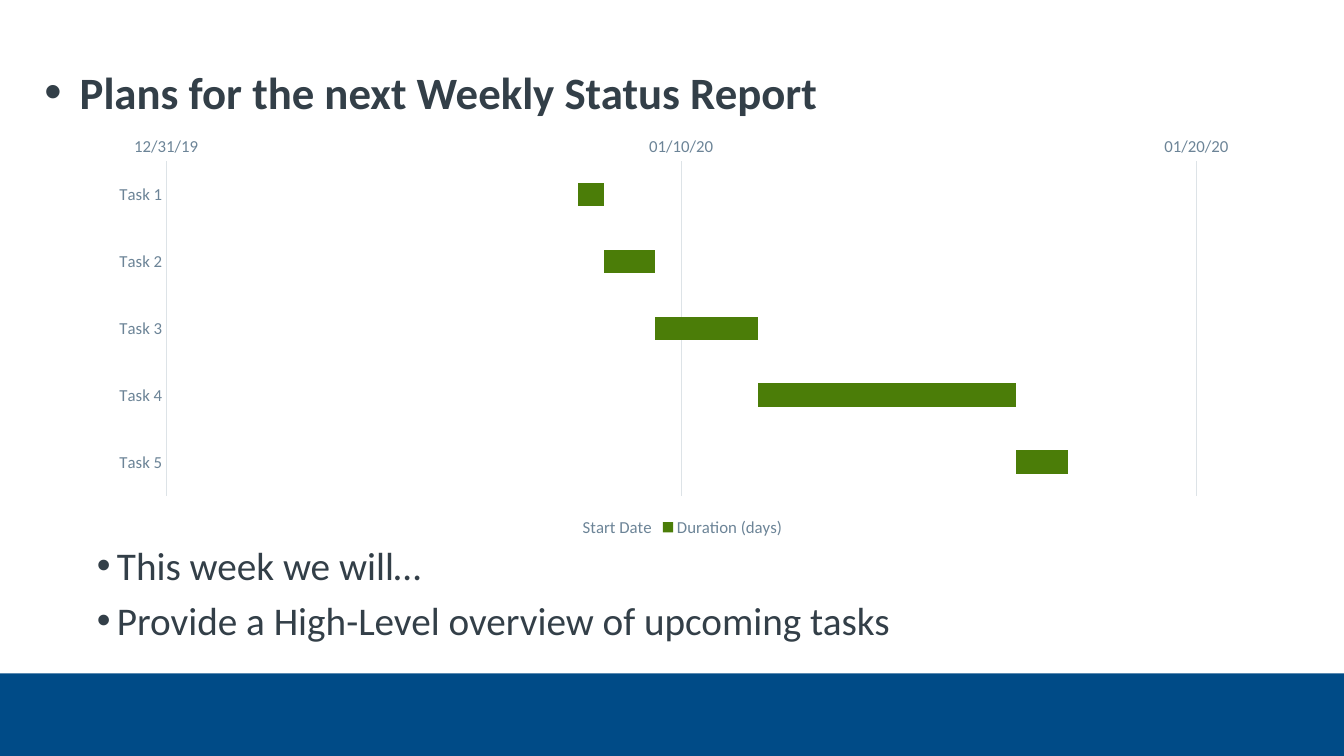
from dataclasses import dataclass

from lxml import etree
from pptx import Presentation
from pptx.chart.data import CategoryChartData
from pptx.dml.color import RGBColor
from pptx.enum.chart import XL_CHART_TYPE as ChartType
from pptx.enum.chart import XL_LEGEND_POSITION as LegendPosition
from pptx.enum.chart import XL_TICK_MARK as TickMark
from pptx.enum.shapes import MSO_SHAPE as Shape
from pptx.enum.text import MSO_ANCHOR as Anchor
from pptx.enum.text import MSO_AUTO_SIZE as AutoSize
from pptx.enum.text import PP_ALIGN as Align
from pptx.oxml.ns import qn
from pptx.util import Inches, Pt


@dataclass(frozen=True)
class Theme:
    font: str = "Calibri"
    ink: str = "333F48"
    muted: str = "6C8497"
    grid: str = "DDE3E7"
    task: str = "4B7D08"
    band: str = "004B87"
    title_size: int = 32
    body_size: int = 28
    chart_size: int = 12
    line_width: float = 0.75


class StatusSlide:
    """Draws the parts of a status report slide in one theme."""

    def __init__(self, deck, theme):
        self.theme = theme
        self.slide = deck.slides.add_slide(deck.slide_layouts[1])

    def style_font(self, font, size, color, bold=False):
        font.name = self.theme.font
        font.size = Pt(size)
        font.bold = bold
        font.color.rgb = RGBColor.from_string(color)

    def style_line(self, line):
        line.width = Pt(self.theme.line_width)
        line.color.rgb = RGBColor.from_string(self.theme.grid)

    def bullets(self, placeholder, box, lines, size, indent, bold=False, bullet_scale=100):
        placeholder.left, placeholder.top, placeholder.width, placeholder.height = map(Inches, box)
        frame = placeholder.text_frame
        frame.margin_left = frame.margin_top = frame.margin_right = frame.margin_bottom = 0
        frame.word_wrap = True
        frame.auto_size = AutoSize.NONE
        frame.vertical_anchor = Anchor.TOP
        for index, line in enumerate(lines):
            paragraph = frame.paragraphs[0] if index == 0 else frame.add_paragraph()
            paragraph.alignment = Align.LEFT
            paragraph.space_before = Pt(0.2 * size if index else 0)
            run = paragraph.add_run()
            run.text = line
            self.style_font(run.font, size, self.theme.ink, bold)
            properties = paragraph._p.get_or_add_pPr()
            properties.set("marL", str(Inches(indent)))
            properties.set("indent", str(-Inches(indent)))
            etree.SubElement(properties, qn("a:buSzPct"), val=str(bullet_scale * 1000))
            etree.SubElement(properties, qn("a:buFont"), typeface="Arial")
            etree.SubElement(properties, qn("a:buChar"), char="•")

    def band(self, box):
        band = self.slide.shapes.add_shape(Shape.RECTANGLE, *map(Inches, box))
        band.shadow.inherit = False
        band.fill.solid()
        band.fill.fore_color.rgb = RGBColor.from_string(self.theme.band)
        band.line.fill.background()

    def gantt(self, box, tasks, first_day, last_day, step, plot_area):
        data = CategoryChartData()
        data.categories = [name for name, start, days in tasks]
        data.add_series("Start Date", [start for name, start, days in tasks])
        data.add_series("Duration (days)", [days for name, start, days in tasks])
        frame = self.slide.shapes.add_chart(ChartType.BAR_STACKED, *map(Inches, box), data)
        chart = frame.chart
        chart.has_title = False
        self.style_font(chart.font, self.theme.chart_size, self.theme.muted)

        plot = chart.plots[0]
        plot.gap_width = 182
        plot.overlap = 100
        plot.vary_by_categories = False
        start_series, duration_series = plot.series
        start_series.format.fill.background()
        duration_series.format.fill.solid()
        duration_series.format.fill.fore_color.rgb = RGBColor.from_string(self.theme.task)

        task_axis, date_axis = chart.category_axis, chart.value_axis
        for axis in (task_axis, date_axis):
            axis.major_tick_mark = axis.minor_tick_mark = TickMark.NONE
            self.style_font(axis.tick_labels.font, self.theme.chart_size, self.theme.muted)
        task_axis.reverse_order = True
        self.style_line(task_axis.format.line)
        date_axis.minimum_scale = first_day
        date_axis.maximum_scale = last_day
        date_axis.major_unit = step
        date_axis.tick_labels.number_format = "mm/dd/yy;@"
        date_axis.tick_labels.number_format_is_linked = False
        date_axis.format.line.fill.background()
        self.style_line(date_axis.major_gridlines.format.line)

        chart.has_legend = True
        chart.legend.position = LegendPosition.BOTTOM
        chart.legend.include_in_layout = False
        self.style_font(chart.legend.font, self.theme.chart_size, self.theme.muted)
        self.place_plot(chart, plot_area)

    def place_plot(self, chart, plot_area):
        area = chart._chartSpace.find(".//" + qn("c:plotArea"))
        for earlier in area.findall(qn("c:layout")):
            area.remove(earlier)
        layout = etree.Element(qn("c:layout"))
        area.insert(0, layout)
        manual = etree.SubElement(layout, qn("c:manualLayout"))
        settings = [("layoutTarget", "inner"), ("xMode", "edge"), ("yMode", "edge")]
        settings += zip("xywh", map(str, plot_area))
        for tag, value in settings:
            etree.SubElement(manual, qn("c:" + tag), val=value)


def main():
    deck = Presentation()
    deck.slide_width, deck.slide_height = Inches(13.33), Inches(7.5)
    theme = Theme()
    report = StatusSlide(deck, theme)
    title, plans = report.slide.placeholders

    report.band((0, 6.68, 13.33, 0.82))
    report.bullets(title, (0.44, 0.64, 11.99, 0.82), ["Plans for the next Weekly Status Report"],
                   theme.title_size, 0.35, bold=True, bullet_scale=110)
    report.bullets(plans, (0.96, 5.37, 11.48, 1.15),
                   ["This week we will…", "Provide a High-Level overview of upcoming tasks"],
                   theme.body_size, 0.2)

    tasks = []
    start = 43838
    for number, days in enumerate((0.5, 1, 2, 5, 1), 1):
        tasks.append((f"Task {number}", start, days))
        start += days
    report.gantt((0.96, 1.27, 11.48, 4.1), tasks, 43830, 43850, 10, (0.06, 0.08, 0.89, 0.81))

    deck.save("out.pptx")


if __name__ == "__main__":
    main()
